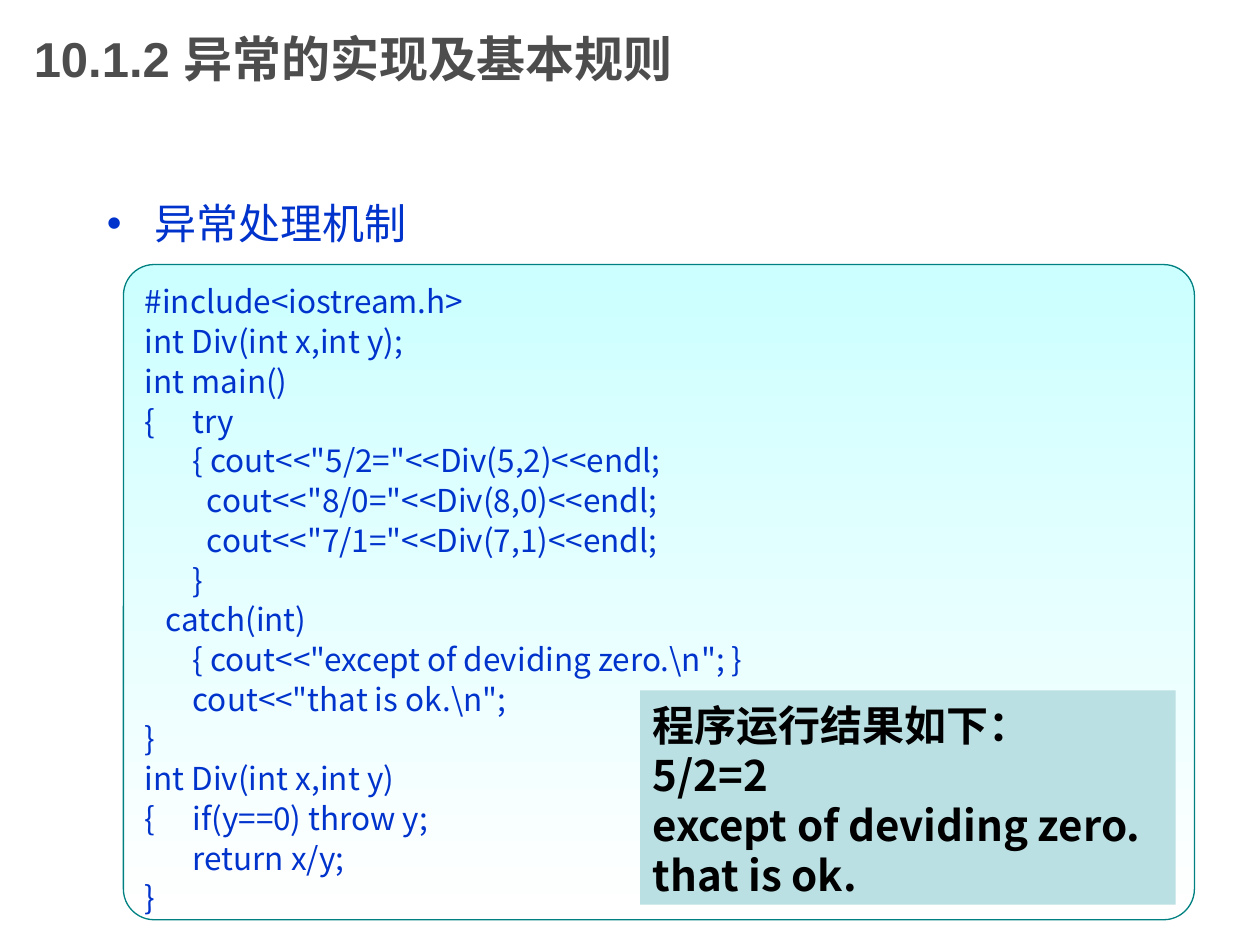
from dataclasses import dataclass

import pptx
import pptx.dml.color
import pptx.enum.shapes
import pptx.enum.text
import pptx.oxml
import pptx.oxml.ns
import pptx.util
from pptx.util import Inches

CJK = "Noto Sans CJK SC"
BLUE = "0033CC"
HANGING = 0.38

CODE = r"""#include<iostream.h>
int Div(int x,int y);
int main()
{	try
	{ cout<<"5/2="<<Div(5,2)<<endl;
	  cout<<"8/0="<<Div(8,0)<<endl;
	  cout<<"7/1="<<Div(7,1)<<endl;
	}
   catch(int)
	{ cout<<"except of deviding zero.\n"; }
	cout<<"that is ok.\n";
}
int Div(int x,int y)
{	if(y==0) throw y;
	return x/y;
}"""

RESULT = """程序运行结果如下：
5/2=2
except of deviding zero.
that is ok."""


@dataclass
class TextStyle:
    size: float
    color: str
    font: str = CJK
    bold: bool = False
    leading: float | None = None
    before: float = 0
    hanging: float = 0
    bullet: str = ""
    top_inset: float = 0.07
    anchor: pptx.enum.text.MSO_ANCHOR = pptx.enum.text.MSO_ANCHOR.TOP


def rgb(color: str) -> pptx.dml.color.RGBColor:
    return pptx.dml.color.RGBColor.from_string(color)


def add_child(parent, tag: str, **attributes: str) -> None:
    child = pptx.oxml.parse_xml(f'<a:{tag} {pptx.oxml.ns.nsdecls("a")}/>')
    for name, value in attributes.items():
        child.set(name, value)
    parent.append(child)


def write_text(shape, text: str, style: TextStyle) -> None:
    frame = shape.text_frame
    frame.word_wrap = True
    frame.vertical_anchor = style.anchor
    frame.margin_left = frame.margin_right = Inches(0.1)
    frame.margin_top, frame.margin_bottom = Inches(style.top_inset), Inches(0.05)
    for index, line in enumerate(text.split("\n")):
        para = frame.add_paragraph() if index else frame.paragraphs[0]
        para.alignment = pptx.enum.text.PP_ALIGN.LEFT
        para.space_before = pptx.util.Pt(style.before)
        if style.leading:
            para.line_spacing = pptx.util.Pt(style.leading)
        properties = para._p.get_or_add_pPr()
        properties.set("marL", str(Inches(style.hanging)))
        properties.set("indent", str(-Inches(style.hanging)))
        if style.bullet:
            add_child(properties, "buFont", typeface="Arial")
            add_child(properties, "buChar", char=style.bullet)
        span = para.add_run()
        span.text = line
        span.font.size = pptx.util.Pt(style.size)
        span.font.bold = style.bold
        span.font.color.rgb = rgb(style.color)
        span.font.name = style.font
        add_child(span._r.get_or_add_rPr(), "ea", typeface=CJK)


def add_text(page, place: tuple, text: str, style: TextStyle) -> None:
    box = page.shapes.add_textbox(*map(Inches, place))
    write_text(box, text, style)


def add_panel(page, kind, place: tuple, text: str, style: TextStyle):
    panel = page.shapes.add_shape(kind, *map(Inches, place))
    panel.shadow.inherit = False
    write_text(panel, text, style)
    return panel


def main() -> None:
    deck = pptx.Presentation()
    deck.slide_width, deck.slide_height = Inches(10), Inches(7.5)
    page = deck.slides.add_slide(deck.slide_layouts[6])
    shapes = pptx.enum.shapes.MSO_SHAPE

    # Title and topic
    add_text(page, (0.17, 0, 7.5, 0.92), "10.1.2 异常的实现及基本规则",
             TextStyle(28, "4D4D4D", font="Arial", bold=True, top_inset=0.05,
                       anchor=pptx.enum.text.MSO_ANCHOR.MIDDLE))
    add_text(page, (0.75, 1.5, 8.5, 5.17), "异常处理机制",
             TextStyle(24, BLUE, leading=28.7, before=6, hanging=HANGING, bullet="•"))

    # Program listing
    listing = add_panel(page, shapes.ROUNDED_RECTANGLE, (0.98, 2.1, 8.5, 5.2), CODE,
                        TextStyle(18, BLUE, leading=21.6, before=1.1, hanging=HANGING))
    listing.adjustments[0] = 0.047
    listing.fill.gradient()
    listing.fill.gradient_angle = 270
    for stop, color in zip(listing.fill.gradient_stops, ("CCFFFF", "FFFFFF")):
        stop.color.rgb = rgb(color)
    listing.line.color.rgb = rgb("008080")
    listing.line.width = pptx.util.Pt(0.75)

    # Program output
    output = add_panel(page, shapes.RECTANGLE, (5.08, 5.48, 4.25, 1.7), RESULT,
                       TextStyle(24, "000000", bold=True, leading=28.7))
    output.fill.solid()
    output.fill.fore_color.rgb = rgb("BBE0E3")
    output.line.fill.background()

    deck.save("out.pptx")


if __name__ == "__main__":
    main()
